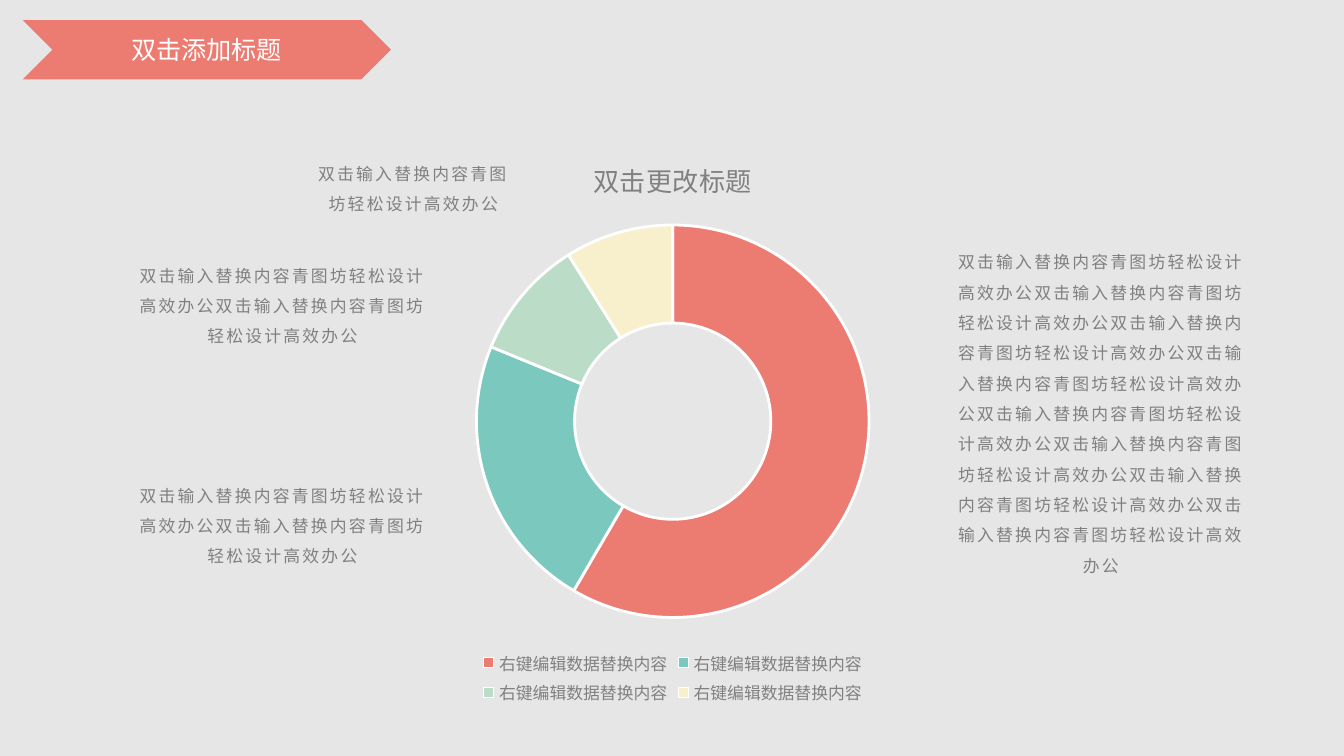
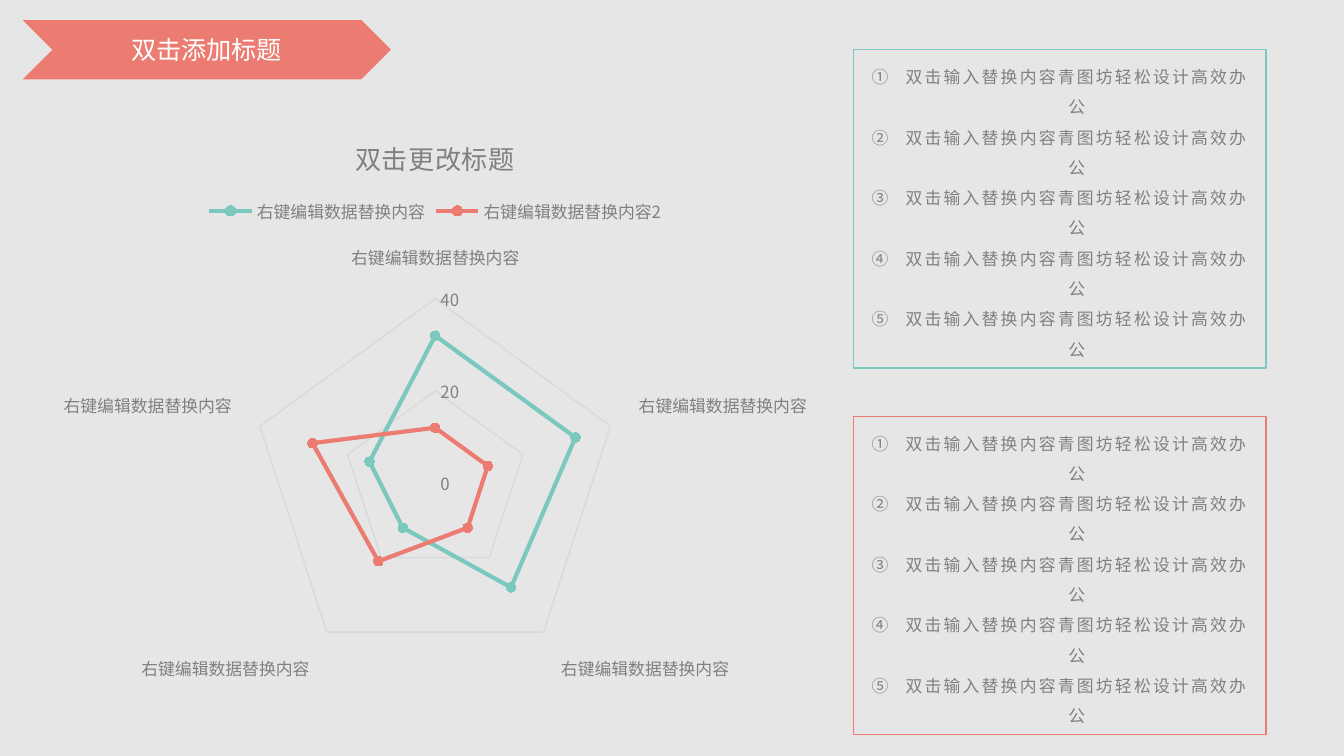
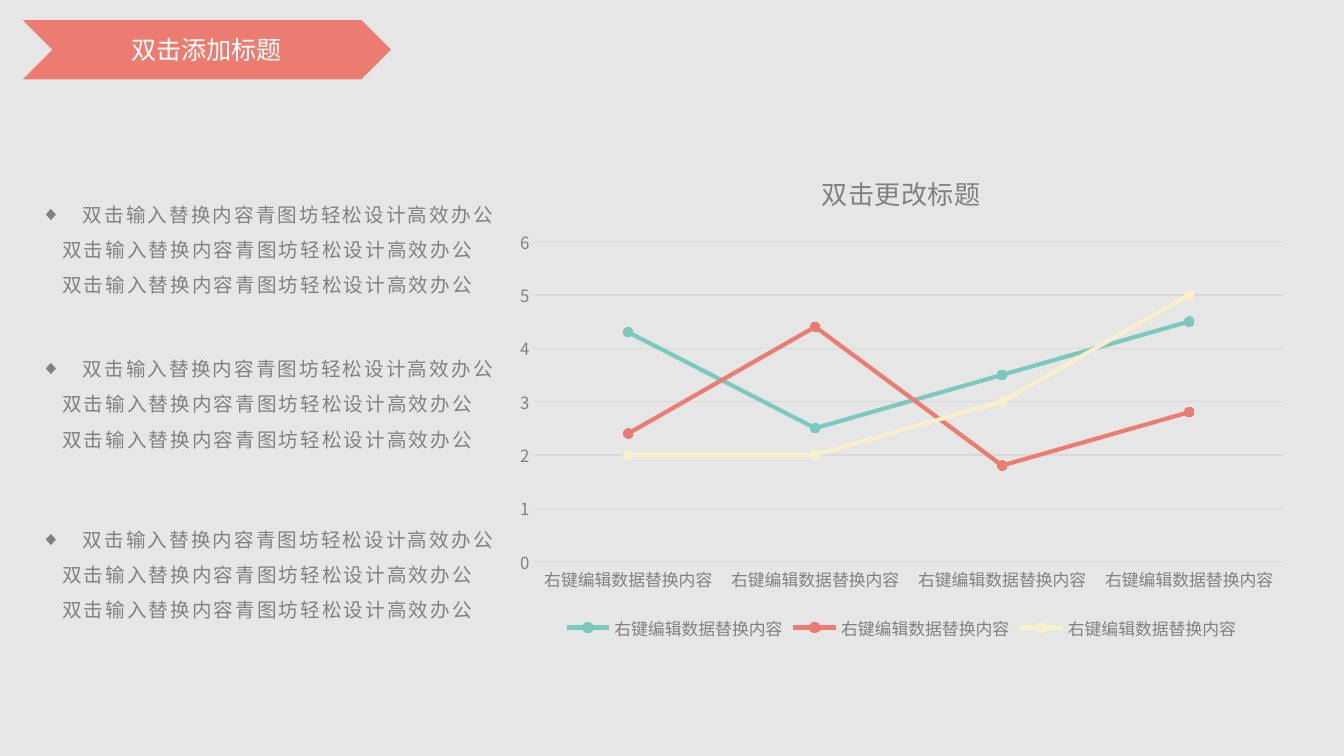
from dataclasses import dataclass

from lxml import etree
from pptx import Presentation
from pptx.chart.data import CategoryChartData
from pptx.dml.color import RGBColor
from pptx.enum.chart import (XL_CHART_TYPE, XL_LEGEND_POSITION,
                             XL_MARKER_STYLE, XL_TICK_MARK)
from pptx.enum.shapes import MSO_SHAPE
from pptx.enum.text import MSO_ANCHOR, MSO_AUTO_SIZE, PP_ALIGN
from pptx.oxml.ns import qn
from pptx.util import Cm, Pt


@dataclass(frozen=True)
class Theme:
    font: str = "Noto Sans CJK SC"
    background: RGBColor = RGBColor(0xE7, 0xE6, 0xE6)
    coral: RGBColor = RGBColor(0xEC, 0x7B, 0x71)
    teal: RGBColor = RGBColor(0x7B, 0xC9, 0xBE)
    green: RGBColor = RGBColor(0xBB, 0xDD, 0xC7)
    cream: RGBColor = RGBColor(0xF8, 0xEF, 0xCD)
    gray: RGBColor = RGBColor(0x80, 0x80, 0x80)
    grid: RGBColor = RGBColor(0xD9, 0xD9, 0xD9)
    white: RGBColor = RGBColor(0xFF, 0xFF, 0xFF)
    title: Pt = Pt(13.5)
    chart_title: Pt = Pt(14)
    chart: Pt = Pt(10)
    list: Pt = Pt(10.5)
    small: Pt = Pt(9)


theme = Theme()
SENTENCE = "双击输入替换内容青图坊轻松设计高效办公"
LABEL = "右键编辑数据替换内容"
NUMBERED = ("a:buAutoNum", {"type": "circleNumDbPlain"})
DIAMOND = ("a:buChar", {"char": "◆"})
NO_BULLET = ("a:buNone", {})
BANNER = (Cm(0.43), Cm(0.38), Cm(6.96), Cm(1.12))


def write_lines(frame, lines, size, indent=0, wrap=True):
    """Fill the frame with centred, letter-spaced (text, bullet) lines."""
    frame.word_wrap = wrap
    frame.auto_size = MSO_AUTO_SIZE.SHAPE_TO_FIT_TEXT
    frame.vertical_anchor = MSO_ANCHOR.TOP
    for number, (text, bullet) in enumerate(lines):
        para = frame.add_paragraph() if number else frame.paragraphs[0]
        para.alignment = PP_ALIGN.CENTER
        para.line_spacing = 1.5
        para.space_before = Pt(0)
        tag, attributes = bullet
        hanging = 0 if bullet == NO_BULLET else indent
        properties = para._p.get_or_add_pPr()
        properties.set("marL", str(hanging))
        properties.set("indent", str(-hanging))
        etree.SubElement(properties, qn(tag), attributes)
        span = para.add_run()
        span.text = text
        span.font.name = theme.font
        span.font.size = size
        span.font.bold = False
        span.font.color.rgb = theme.gray
        span._r.get_or_add_rPr().set("spc", "120")


def add_graph(page, kind, area, count, series, legend_position, scale=None):
    """Add a titled chart; scale is (maximum, step) of the value axis."""
    data = CategoryChartData()
    data.categories = [LABEL] * count
    for name, values, _ in series:
        data.add_series(name, values)
    chart = page.shapes.add_chart(kind, *map(Cm, area), data).chart
    chart.font.name = theme.font
    chart.font.size = theme.chart
    chart.font.color.rgb = theme.gray

    chart.has_title = True
    span = chart.chart_title.text_frame.paragraphs[0].add_run()
    span.text = "双击更改标题"
    span.font.name = theme.font
    span.font.size = theme.chart_title
    span.font.bold = False
    span.font.color.rgb = theme.gray

    chart.has_legend = True
    chart.legend.position = legend_position
    chart.legend.include_in_layout = False
    texts = [chart.legend.font]

    if scale:
        chart.plots[0].vary_by_categories = False
        values, categories = chart.value_axis, chart.category_axis
        values.minimum_scale = 0
        values.maximum_scale, values.major_unit = scale
        values.format.line.fill.background()
        values.has_major_gridlines = True
        for line in (values.major_gridlines.format.line, categories.format.line):
            line.color.rgb = theme.grid
            line.width = Pt(0.75)
        for axis in (values, categories):
            axis.major_tick_mark = XL_TICK_MARK.NONE
            axis.minor_tick_mark = XL_TICK_MARK.NONE
            texts.append(axis.tick_labels.font)
        for plotted, (_, _, color) in zip(chart.plots[0].series, series):
            plotted.format.line.color.rgb = color
            plotted.format.line.width = Pt(2.25)
            plotted.marker.style = XL_MARKER_STYLE.CIRCLE
            plotted.marker.size = 5
            plotted.marker.format.fill.solid()
            plotted.marker.format.fill.fore_color.rgb = color
            plotted.marker.format.line.color.rgb = color

    for font in texts:
        font.name = theme.font
        font.size = theme.small
        font.color.rgb = theme.gray
    return chart


deck = Presentation()
deck.slide_width, deck.slide_height = Cm(25.4), Cm(14.29)
deck.slide_master.background.fill.solid()
deck.slide_master.background.fill.fore_color.rgb = theme.background

# Pages, each with a title over a chevron banner
for layout in ("Title Only", "Two Content", "Comparison"):
    page = deck.slides.add_slide(deck.slide_layouts.get_by_name(layout))
    title = page.shapes.title
    chevron = page.shapes.add_shape(MSO_SHAPE.CHEVRON, *BANNER)
    chevron.shadow.inherit = False
    chevron.fill.solid()
    chevron.fill.fore_color.rgb = theme.coral
    chevron.line.fill.background()
    title.element.addprevious(chevron.element)

    title.left, title.top, title.width, title.height = BANNER
    frame = title.text_frame
    frame.auto_size = MSO_AUTO_SIZE.NONE
    frame.vertical_anchor = MSO_ANCHOR.MIDDLE
    para = frame.paragraphs[0]
    para.alignment = PP_ALIGN.CENTER
    span = para.add_run()
    span.text = "双击添加标题"
    span.font.name = theme.font
    span.font.size = theme.title
    span.font.color.rgb = theme.white
doughnut_page, radar_page, line_page = deck.slides

# Doughnut chart with notes around it
doughnut = add_graph(
    doughnut_page, XL_CHART_TYPE.DOUGHNUT, (6.1, 2.54, 13.23, 10.87), 4,
    [("Series 1", (59, 23, 10, 9), None)], XL_LEGEND_POSITION.BOTTOM)
doughnut.plots[0].vary_by_categories = True
doughnut.element.find(".//" + qn("c:holeSize")).set("val", "75")
slices = (theme.coral, theme.teal, theme.green, theme.cream)
for number, color in enumerate(slices):
    point = doughnut.plots[0].series[0].points[number]
    point.format.fill.solid()
    point.format.fill.fore_color.rgb = color
    point.format.line.color.rgb = theme.white
    point.format.line.width = Pt(1.5)

notes = (
    ((2.34, 8.86, 5.99, 2.57), 2),
    ((2.34, 4.7, 5.99, 2.57), 2),
    ((5.64, 2.77, 4.34, 1.98), 1),
    ((17.81, 4.45, 5.99, 7.19), 8),
)
for area, repeats in notes:
    box = doughnut_page.shapes.add_textbox(*map(Cm, area))
    write_lines(box.text_frame, [(SENTENCE * repeats, NO_BULLET)], theme.small)

# Radar chart with two framed numbered lists
add_graph(
    radar_page, XL_CHART_TYPE.RADAR_MARKERS, (0.91, 2.11, 14.63, 11.07), 5,
    [(LABEL, (32, 32, 28, 12, 15), theme.teal),
     (LABEL + "2", (12, 12, 12, 21, 28), theme.coral)],
    XL_LEGEND_POSITION.TOP, (40, 20))
panels = list(radar_page.placeholders)[1:]
for panel, top, color in zip(panels, (7.87, 0.94), (theme.coral, theme.teal)):
    panel.left, panel.top = Cm(16.13), Cm(top)
    panel.width, panel.height = Cm(7.8), Cm(6.02)
    panel.line.color.rgb = color
    panel.line.width = Pt(0.75)
    write_lines(panel.text_frame, [(SENTENCE, NUMBERED)] * 5, theme.small, Cm(0.64))
    panel.text_frame.auto_size = MSO_AUTO_SIZE.NONE  # the frame keeps its height

# Line chart with three bulleted groups
line_chart = add_graph(
    line_page, XL_CHART_TYPE.LINE_MARKERS, (9.53, 2.82, 15.01, 9.37), 4,
    [(LABEL, (4.3, 2.5, 3.5, 4.5), theme.teal),
     (LABEL, (2.4, 4.4, 1.8, 2.8), theme.coral),
     (LABEL, (2, 2, 3, 5), theme.cream)],
    XL_LEGEND_POSITION.BOTTOM, (6, 1))
for plotted in line_chart.plots[0].series:
    plotted.smooth = False
*groups, spare = list(line_page.placeholders)[1:]
spare.element.getparent().remove(spare.element)
for group, top in zip(groups, (3.48, 6.4, 9.63)):
    group.left, group.top = Cm(0.48), Cm(top)
    group.width, group.height = Cm(9.14), Cm(2.29)
    lines = [(SENTENCE, DIAMOND)] + [(SENTENCE, NO_BULLET)] * 2
    write_lines(group.text_frame, lines, theme.list, Cm(0.79), wrap=False)

# Chinese glyphs follow the East Asian font, so it mirrors the Latin one
for page in deck.slides:
    charts = [shape.chart.element for shape in page.shapes if shape.has_chart]
    for root in [page.element, *charts]:
        for latin in list(root.iter(qn("a:latin"))):
            latin.addnext(latin.makeelement(qn("a:ea"), {"typeface": theme.font}))

deck.save("out.pptx")
